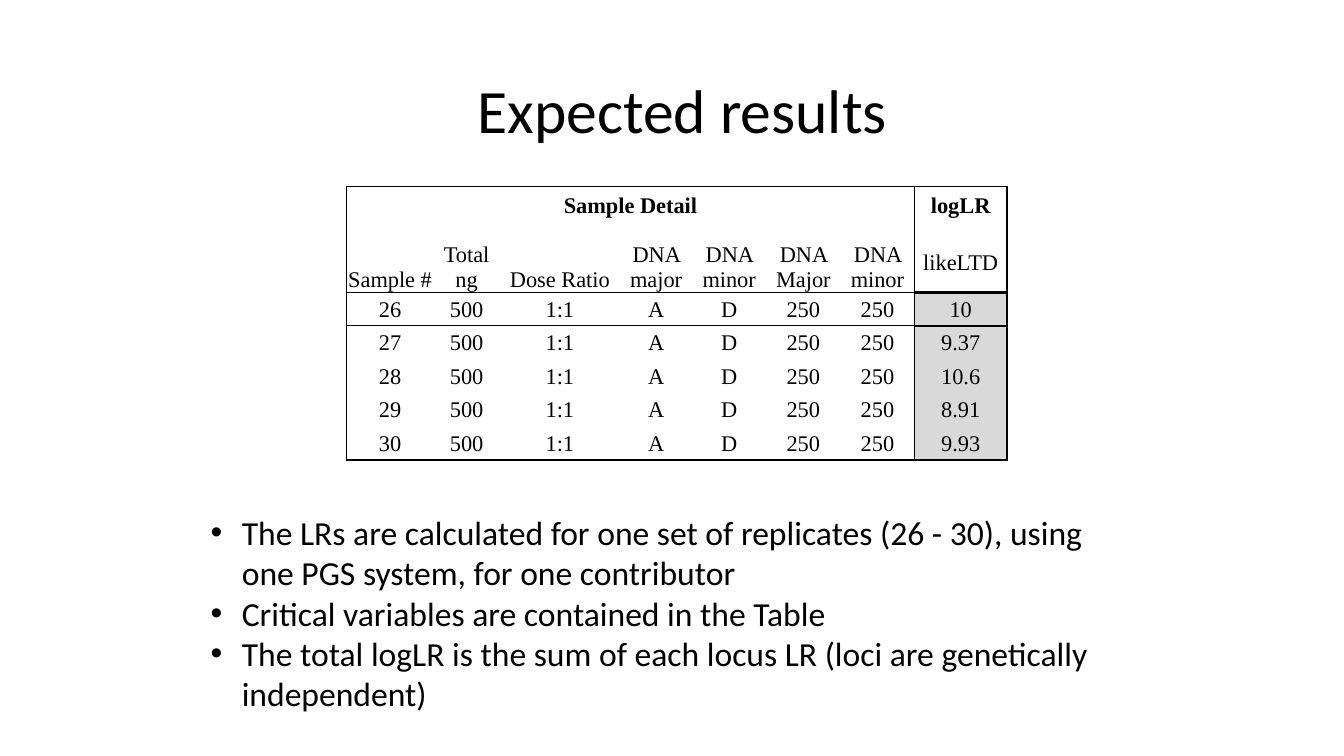
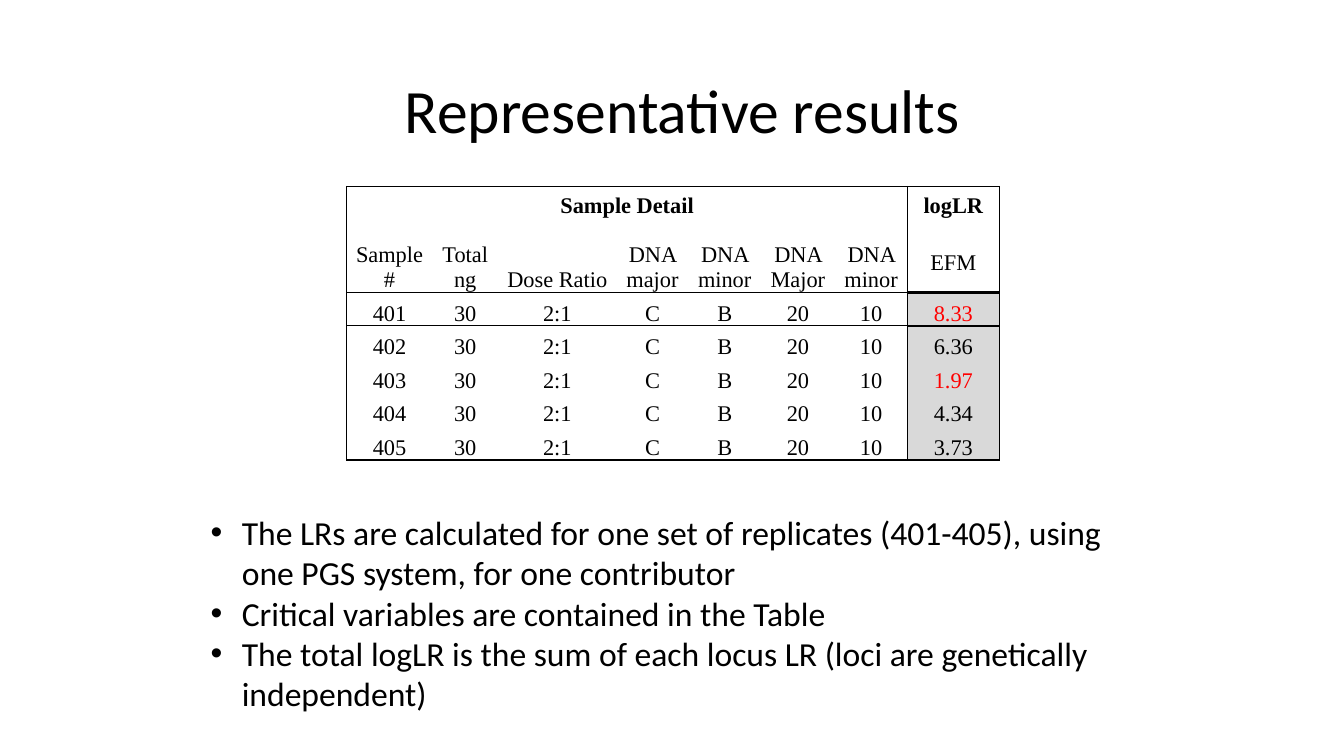
import lxml.etree
import pptx
import pptx.dml.color
import pptx.enum.text
import pptx.oxml.ns
import pptx.util

BLACK = pptx.dml.color.RGBColor(0x00, 0x00, 0x00)
RED = pptx.dml.color.RGBColor(0xFF, 0x00, 0x00)
GREY = pptx.dml.color.RGBColor(0xD9, 0xD9, 0xD9)
SANS, SERIF = "Calibri", "Times New Roman"
CENTER = pptx.enum.text.PP_ALIGN.CENTER
LEFT = pptx.enum.text.PP_ALIGN.LEFT
TOP = pptx.enum.text.MSO_ANCHOR.TOP
MIDDLE = pptx.enum.text.MSO_ANCHOR.MIDDLE
BOTTOM = pptx.enum.text.MSO_ANCHOR.BOTTOM
NO_GRID_STYLE = "{2D5ABB26-0587-4C30-8999-92F81FD0307C}"
qn = pptx.oxml.ns.qn

prs = pptx.Presentation()
prs.slide_width = pptx.util.Inches(13.33)
prs.slide_height = pptx.util.Inches(7.5)
W, H = prs.slide_width / 100, prs.slide_height / 100  # one percent of the slide

# Left, top, width, height in percent of the slide
TITLE_BOX = (10.35, 5.33, 80.87, 19.33)
BULLET_BOX = (14.93, 67.07, 70.14, 28.27)
TABLE_LEFT, TABLE_TOP = 25.8, 24.67
COLUMNS = (6.45, 4.95, 8.93, 5.4, 5.48, 5.55, 5.48, 6.9)
ROWS = (6, 8) + (4.44,) * 5
HEADINGS = ("Sample #", "Total ng", "Dose Ratio", "DNA major",
            "DNA minor", "DNA Major", "DNA minor")
LAST_COL, LAST_ROW = len(COLUMNS) - 1, len(ROWS) - 1

SLIDES = [
    dict(title="Expected results", replicates="26 - 30", system="likeLTD",
         first=26, detail=("500", "1:1", "A", "D", "250", "250"),
         scores=("10", "9.37", "10.6", "8.91", "9.93"),
         flagged=(), anchor=MIDDLE, scale=1),
    dict(title="Representative results", replicates="401-405", system="EFM",
         first=401, detail=("30", "2:1", "C", "B", "20", "10"),
         scores=("8.33", "6.36", "1.97", "4.34", "3.73"),
         flagged=("8.33", "1.97"), anchor=BOTTOM, scale=98.8 / 100),
]


def write(tf, *lines, size=16, font=SERIF, color=BLACK, bold=False,
          align=CENTER, spacing=None, bullet=False):
    for i, line in enumerate(lines):
        p = tf.paragraphs[0] if i == 0 else tf.add_paragraph()
        p.alignment = align
        if spacing:
            p.line_spacing = spacing
        if bullet:
            pPr = p._p.get_or_add_pPr()
            indent = pptx.util.Inches(0.31)
            pPr.set("marL", str(indent))
            pPr.set("indent", str(-indent))
            lxml.etree.SubElement(pPr, qn("a:buFont"), typeface="Arial")
            lxml.etree.SubElement(pPr, qn("a:buChar"), char="•")
        r = p.add_run()
        r.text = line
        r.font.name, r.font.size = font, pptx.util.Pt(size)
        r.font.bold, r.font.color.rgb = bold, color


def set_borders(cell, **widths):
    """Draw black borders; the keywords L, R, T and B give widths in points."""
    tcPr = cell._tc.get_or_add_tcPr()
    sides = [side for side in "LRTB" if widths.get(side)]
    for i, side in enumerate(sides):
        ln = lxml.etree.Element(qn("a:ln" + side), w=str(pptx.util.Pt(widths[side])))
        fill = lxml.etree.SubElement(ln, qn("a:solidFill"))
        lxml.etree.SubElement(fill, qn("a:srgbClr"), val=str(BLACK))
        tcPr.insert(i, ln)


for data in SLIDES:
    s = prs.slides.add_slide(prs.slide_layouts[5])

    title = s.shapes.title
    x, y, w, h = TITLE_BOX
    title.left, title.top = int(x * W), int(y * H)
    title.width, title.height = int(w * W), int(h * H)
    title.text_frame.vertical_anchor = MIDDLE
    write(title.text_frame, data["title"], size=44, font=SANS, spacing=0.9)

    widths = [int(c * data["scale"] * W) for c in COLUMNS]
    heights = [int(r * H) for r in ROWS]
    table = s.shapes.add_table(len(ROWS), len(COLUMNS), int(TABLE_LEFT * W),
                               int(TABLE_TOP * H), sum(widths), sum(heights)).table
    table.first_row = table.horz_banding = False
    table._tbl.tblPr.find(qn("a:tableStyleId")).text = NO_GRID_STYLE
    for column, width in zip(table.columns, widths):
        column.width = width
    for row, height in zip(table.rows, heights):
        row.height = height

    grid = [("Sample Detail",) + ("",) * 6 + ("logLR",), HEADINGS + (data["system"],)]
    for i, score in enumerate(data["scores"]):
        grid.append((str(data["first"] + i),) + data["detail"] + (score,))

    table.cell(0, 0).merge(table.cell(0, LAST_COL - 1))
    for i, texts in enumerate(grid):
        for j, text in enumerate(texts):
            cell = table.cell(i, j)
            is_score = j == LAST_COL
            side, end = (0.13, 0.07) if i == 0 else (0.01, 0)
            cell.margin_left = cell.margin_right = pptx.util.Inches(side)
            cell.margin_top = pptx.util.Inches(end or 0.01)
            cell.margin_bottom = pptx.util.Inches(end)
            if i == 0:
                cell.vertical_anchor = TOP
            elif i == 1:
                cell.vertical_anchor = MIDDLE if is_score else BOTTOM
            else:
                cell.vertical_anchor = data["anchor"]
            if is_score and i > 1:
                cell.fill.solid()
                cell.fill.fore_color.rgb = GREY
            else:
                cell.fill.background()
            rule = 2 if is_score else 1
            set_borders(cell,
                        L=1 if j in (0, LAST_COL) else 0,
                        R=1 if j >= LAST_COL - 1 or (i, j) == (0, 0) else 0,
                        T={0: 1, 2: rule}.get(i, 0),
                        B={1: rule, LAST_ROW: 1}.get(i, 0))
            if text:
                write(cell.text_frame, text, bold=i == 0,
                      color=RED if is_score and text in data["flagged"] else BLACK)

    x, y, w, h = BULLET_BOX
    tf = s.shapes.add_textbox(int(x * W), int(y * H), int(w * W), int(h * H)).text_frame
    tf.word_wrap = True
    tf.auto_size = pptx.enum.text.MSO_AUTO_SIZE.SHAPE_TO_FIT_TEXT
    write(tf,
          f"The LRs are calculated for one set of replicates ({data['replicates']}), "
          "using one PGS system, for one contributor",
          "Critical variables are contained in the Table",
          "The total logLR is the sum of each locus LR (loci are genetically independent)",
          size=24, font=SANS, align=LEFT, bullet=True)

prs.save("out.pptx")
